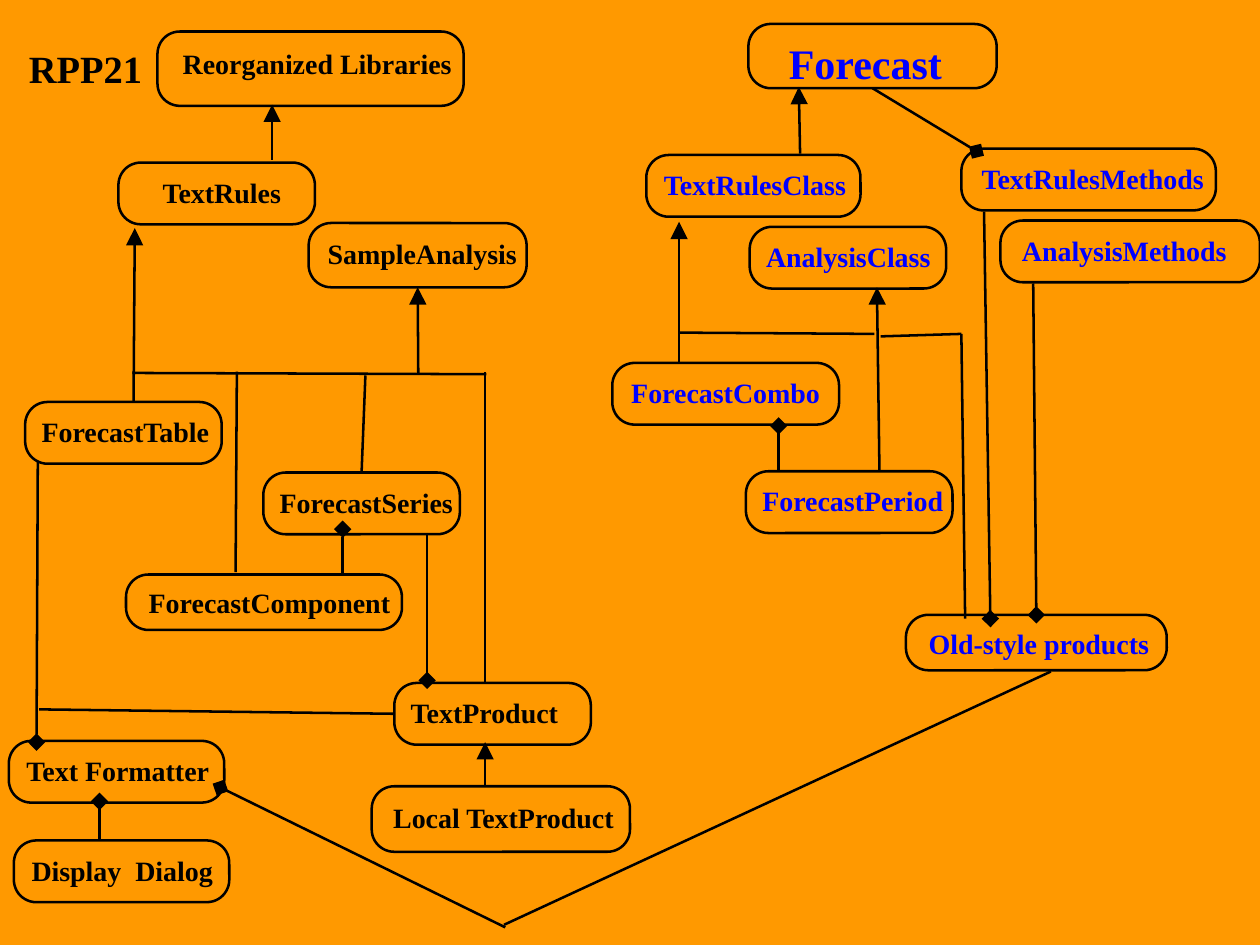
from lxml.etree import SubElement
from pptx import Presentation
from pptx.dml.color import RGBColor
from pptx.enum.shapes import MSO_CONNECTOR as Connector, MSO_SHAPE as Shape
from pptx.enum.text import MSO_ANCHOR as Anchor, MSO_AUTO_SIZE as AutoSize, PP_ALIGN as Align
from pptx.oxml.ns import qn
from pptx.util import Inches, Pt

COLORS = {"background": "FF9900", "black": "000000", "blue": "0000FF"}
FONT = "Times New Roman"
WIDTH, HEIGHT = Inches(10), Inches(7.5)
COLUMNS, ROWS = 100, 75
CELL = WIDTH / COLUMNS
CORNER = 1.78
CORNER_INSET = CORNER * 0.29
TOP, LEFT, BOTTOM = 0, 1, 2

# label: (column, row, columns, rows), (text column, text columns, text offset)
OLD_CLASSES = {
    "Reorganized Libraries": ((12.5, 2.5, 24.3, 5.9), (14.5, 21.4, 1.2)),
    "TextRules": ((9.4, 12.9, 15.6, 4.9), (12.9, 9.4, 1)),
    "SampleAnalysis": ((24.5, 17.7, 17.3, 5.1), (26, 15, 1.1)),
    "ForecastTable": ((2, 31.9, 15.6, 4.9), (3.3, 13.4, 1)),
    "ForecastSeries": ((20.9, 37.5, 15.6, 4.9), (22.2, 13.8, 1)),
    "ForecastComponent": ((10, 45.6, 21.9, 4.4), (11.8, 19.2, 0.9)),
    "TextProduct": ((31.3, 54.2, 15.6, 4.9), (32.6, 11.8, 1)),
    "Local TextProduct": ((29.5, 62.4, 20.5, 5.2), (31.2, 17.6, 1.1)),
    "Text Formatter": ((0.7, 58.8, 17.1, 4.9), (2.1, 14.6, 1)),
    "Display  Dialog": ((1.1, 66.7, 17.1, 4.9), (2.5, 14.4, 1)),
}
NEW_CLASSES = {
    "Forecast": ((59.4, 1.9, 19.7, 5.1), (62.6, 12.2, 1.1)),
    "TextRulesClass": ((51.3, 12.3, 17, 4.9), (52.7, 14.5, 1)),
    "AnalysisClass": ((59.5, 18, 15.6, 4.9), (60.8, 13.1, 1)),
    "TextRulesMethods": ((76.3, 11.8, 20.2, 4.9), (77.9, 17.8, 1)),
    "AnalysisMethods": ((79.4, 17.5, 20.6, 4.9), (81.1, 16.3, 1)),
    "ForecastCombo": ((48.6, 28.8, 18, 4.9), (50.1, 15, 1)),
    "ForecastPeriod": ((59.2, 37.4, 16.4, 4.9), (60.5, 14.4, 1)),
    "Old-style products": ((71.9, 48.8, 20.7, 4.4), (73.7, 17.6, 0.9)),
}
INHERITANCE = [
    ((21.6, 12.7), (21.6, 8.3)),
    ((10.6, 31.9), (10.7, 18.1)),
    ((33.2, 29.7), ("SampleAnalysis", BOTTOM)),
    ((38.5, 62.3), (38.5, 58.9)),
    ((63.5, 12.2), (63.4, 6.9)),
    ((53.9, 28.7), (53.9, 17.6)),
    ((69.8, 37.4), (69.6, 22.8)),
]
COMPOSITION = [
    ((3, 36.6), (2.9, 58.9)),
    ((33.9, 42.3), (33.9, 54)),
    ((27.2, 45.7), (27.2, 42)),
    ((61.8, 37.4), (61.8, 33.8)),
    (("Forecast", BOTTOM), (77.5, 12)),
    ((78.1, 16.8), (78.6, 49.1)),
    ((82, 22.5), ("Old-style products", TOP)),
    ((7.9, 66.6), (7.9, 63.6)),
    ((40.1, 73.6), (17.5, 62.5)),
]
BRANCHES = [
    ((10.5, 29.6), (38.6, 29.7)),
    (("ForecastSeries", TOP), (29, 29.8)),
    ((18.7, 45.4), (18.8, 29.5)),
    ((38.5, 54.1), (38.5, 29.5)),
    ((3.1, 56.3), ("TextProduct", LEFT)),
    ((53.9, 26.4), (69.4, 26.5)),
    ((69.9, 26.7), (76.3, 26.5)),
    ((76.3, 26.5), (76.6, 49.1)),
    ((40, 73.4), (83.4, 53.3)),
]


def cells(count):
    """Convert a number of grid cells to a length."""
    return round(count * CELL)


def color(name):
    """Return a named colour."""
    return RGBColor.from_string(COLORS[name])


def write(text_frame, text, size, color_name):
    """Write one bold left-aligned line from the top of a frame."""
    text_frame.text = text
    text_frame.word_wrap = False
    text_frame.auto_size = AutoSize.NONE
    text_frame.vertical_anchor = Anchor.TOP
    text_frame.margin_left = text_frame.margin_right = 0
    text_frame.margin_top = text_frame.margin_bottom = 0
    paragraph = text_frame.paragraphs[0]
    paragraph.alignment = Align.LEFT
    font = paragraph.runs[0].font
    font.name, font.size, font.bold = FONT, Pt(size), True
    font.color.rgb = color(color_name)


def add_title(slide, text):
    """Place the title in the upper left corner."""
    title = slide.shapes.title
    title.left, title.top, title.width, title.height = map(cells, (2.3, 3.6, 9, 3.7))
    write(title.text_frame, text, 22, "black")


def add_class_box(slide, label, box, text_place, color_name):
    """Add a rounded class box with its label."""
    column, row, columns, rows = box
    text_column, text_columns, text_offset = text_place
    shape = slide.shapes.add_shape(Shape.ROUNDED_RECTANGLE, *map(cells, box))
    shape.adjustments[0] = CORNER / rows
    shape.shadow.inherit = False
    shape.fill.background()
    shape.line.color.rgb = color("black")
    shape.line.width = Pt(1.45)
    frame = shape.text_frame
    write(frame, label, 24 if label == "Forecast" else 16, color_name)
    space_right = column + columns - text_column - text_columns
    frame.margin_left = cells(text_column - column - CORNER_INSET)
    frame.margin_right = cells(max(0, space_right - CORNER_INSET))
    frame.margin_top = cells(text_offset - CORNER_INSET)
    return shape


def add_link(slide, boxes, start, end, head=None):
    """Add a line between points or box sides, with an optional head."""
    link = slide.shapes.add_connector(Connector.STRAIGHT, 0, 0, 0, 0)
    if start[0] in boxes:
        link.begin_connect(boxes[start[0]], start[1])
    else:
        link.begin_x, link.begin_y = map(cells, start)
    if end[0] in boxes:
        link.end_connect(boxes[end[0]], end[1])
    else:
        link.end_x, link.end_y = map(cells, end)
    link.line.color.rgb = color("black")
    link.line.width = Pt(1.45)
    if head:
        line = link.line._get_or_add_ln()
        SubElement(line, qn("a:tailEnd"), type=head, w="lg", len="lg")
    SubElement(link._element.spPr, qn("a:effectLst"))


def main():
    """Build the class diagram slide."""
    presentation = Presentation()
    presentation.slide_width, presentation.slide_height = WIDTH, HEIGHT
    slide = presentation.slides.add_slide(presentation.slide_layouts[5])
    slide.background.fill.solid()
    slide.background.fill.fore_color.rgb = color("background")
    add_title(slide, "RPP21")
    boxes = {}
    for classes, color_name in ((OLD_CLASSES, "black"), (NEW_CLASSES, "blue")):
        for label, (box, text_place) in classes.items():
            boxes[label] = add_class_box(slide, label, box, text_place, color_name)
    for links, head in ((BRANCHES, None), (INHERITANCE, "triangle"), (COMPOSITION, "diamond")):
        for start, end in links:
            add_link(slide, boxes, start, end, head)
    presentation.save("out.pptx")


if __name__ == "__main__":
    main()
